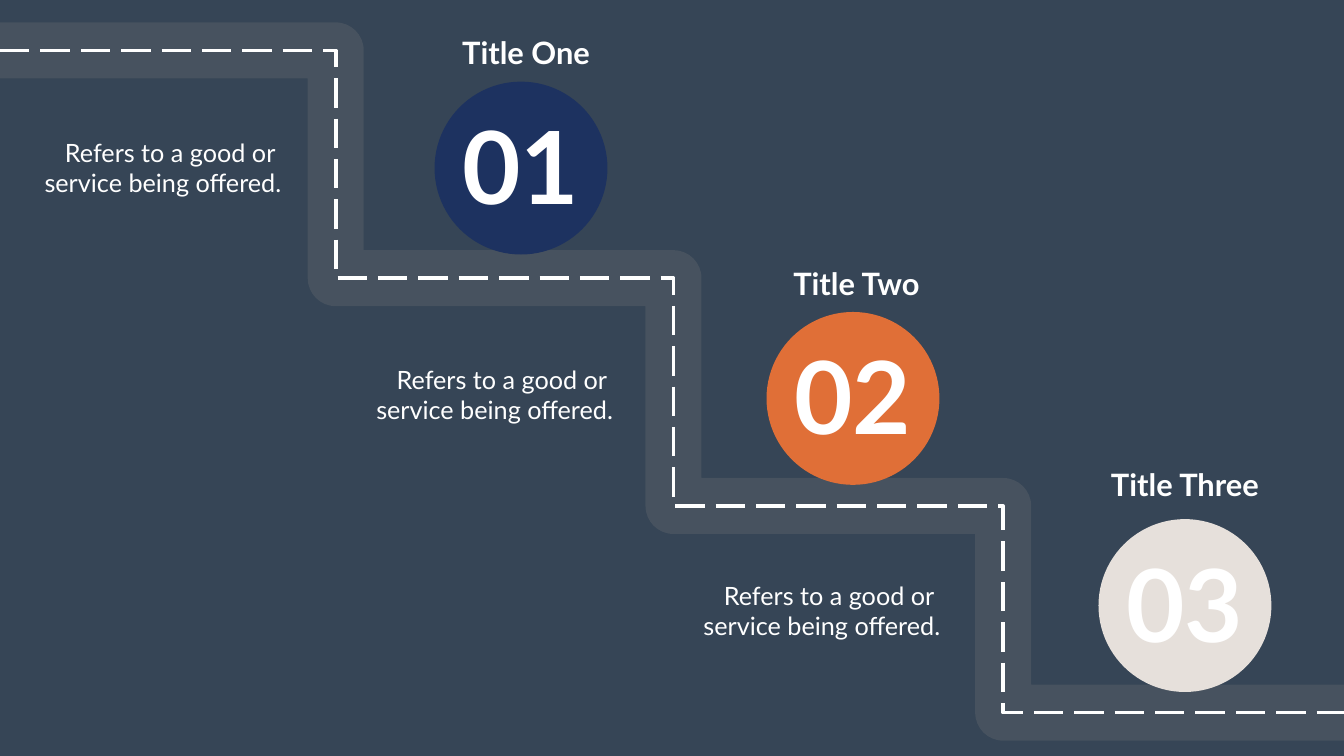
"""Build a stepped road slide with three numbered milestones."""
from itertools import chain

from lxml import etree
from pptx import Presentation, util as u
from pptx.dml.color import RGBColor
from pptx.enum import dml, shapes, text
from pptx.oxml import ns

COLUMNS, ROWS = 26.66, 15
CELL = u.Inches(1)

THEME = {
    "font": "Lato",
    "background": "364556",
    "ink": "FFFFFF",
    "road": "797979",
    "title_size": 44,
    "number_size": 144,
    "detail_size": 36,
    "road_width": 80,
    "road_opacity": 25,
    "marking_width": 5.25,
}

DETAIL = ["Refers to a good or ", "service being offered."]

MILESTONES = [
    {"title": "Title One", "number": "01", "color": "1D3260", "detail": DETAIL,
     "title_row": 0.62, "disc_row": 1.62, "detail_at": (0.25, 2.68), "title_shift": 0.1},
    {"title": "Title Two", "number": "02", "color": "E06F37", "detail": DETAIL,
     "title_row": 5.21, "disc_row": 6.19, "detail_at": (6.83, 7.18), "title_shift": 0.07},
    {"title": "Title Three", "number": "03", "color": "E6E0DB", "detail": DETAIL,
     "title_row": 9.19, "disc_row": 10.3, "detail_at": (13.32, 11.46), "title_shift": 0},
]

ROAD_COLUMNS = [0, 6.66, 13.36, 19.9, COLUMNS]
ROAD_ROWS = [1, 5.52, 10.04, 14.14]

DISC = 3.43
FIRST_DISC, DISC_STEP = 8.62, 6.585
TITLE_BOX = (3.2, 0.84)
NUMBER_BOX = (2.54, 2.52)
DETAIL_BOX = (5.43, 1.31)
NUMBER_OFFSET = (0.45, 0.39)


def cells(*lengths):
    return [round(length * CELL) for length in lengths]


def rgb(name):
    return RGBColor.from_string(THEME[name])


def add_road(slide, color, width, dash, opacity=100):
    corners = list(chain.from_iterable(
        (cells(left, row), cells(right, row))
        for left, right, row in zip(ROAD_COLUMNS, ROAD_COLUMNS[1:], ROAD_ROWS)))
    builder = slide.shapes.build_freeform(*corners[0], scale=1.0)
    builder.add_line_segments(corners[1:], close=False)
    road = builder.convert_to_shape()
    road.shadow.inherit = False
    road.fill.background()
    road.line.color.rgb = rgb(color)
    road.line.width = u.Pt(THEME[width])
    road.line.dash_style = dash
    outline = road.element.spPr.find(ns.qn("a:ln"))
    if opacity < 100:
        paint = outline.find(".//" + ns.qn("a:srgbClr"))
        etree.SubElement(paint, ns.qn("a:alpha"), val=str(opacity * 1000))
    etree.SubElement(outline, ns.qn("a:round"))


def add_disc(slide, left, top, color):
    disc = slide.shapes.add_shape(shapes.MSO_SHAPE.OVAL, *cells(left, top, DISC, DISC))
    disc.shadow.inherit = False
    disc.fill.solid()
    disc.fill.fore_color.rgb = RGBColor.from_string(color)
    disc.line.fill.background()


def add_words(slide, at, box, lines, size, align, bold=False, wrap=False):
    frame = slide.shapes.add_textbox(*cells(*at, *box)).text_frame
    frame.word_wrap = wrap
    frame.auto_size = text.MSO_AUTO_SIZE.SHAPE_TO_FIT_TEXT
    for index, line in enumerate(lines):
        paragraph = frame.add_paragraph() if index else frame.paragraphs[0]
        paragraph.alignment = align
        run = paragraph.add_run()
        run.text = line
        run.font.name = THEME["font"]
        run.font.size = u.Pt(THEME[size])
        run.font.bold = bold
        run.font.color.rgb = rgb("ink")


def main():
    deck = Presentation()
    deck.slide_width, deck.slide_height = cells(COLUMNS, ROWS)
    slide = deck.slides.add_slide(deck.slide_layouts[6])
    slide.background.fill.solid()
    slide.background.fill.fore_color.rgb = rgb("background")

    add_road(slide, "road", "road_width", dml.MSO_LINE.SOLID, THEME["road_opacity"])
    add_road(slide, "ink", "marking_width", dml.MSO_LINE.LONG_DASH)

    align = text.PP_ALIGN
    for index, milestone in enumerate(MILESTONES):
        left, top = FIRST_DISC + index * DISC_STEP, milestone["disc_row"]
        title_left = left + (DISC - TITLE_BOX[0]) / 2 + milestone["title_shift"]
        number_at = (left + NUMBER_OFFSET[0], top + NUMBER_OFFSET[1])
        add_disc(slide, left, top, milestone["color"])
        add_words(slide, (title_left, milestone["title_row"]), TITLE_BOX,
                  [milestone["title"]], "title_size", align.CENTER, bold=True)
        add_words(slide, number_at, NUMBER_BOX,
                  [milestone["number"]], "number_size", align.LEFT, bold=True)
        add_words(slide, milestone["detail_at"], DETAIL_BOX,
                  milestone["detail"], "detail_size", align.RIGHT, wrap=True)

    deck.save("out.pptx")


if __name__ == "__main__":
    main()
